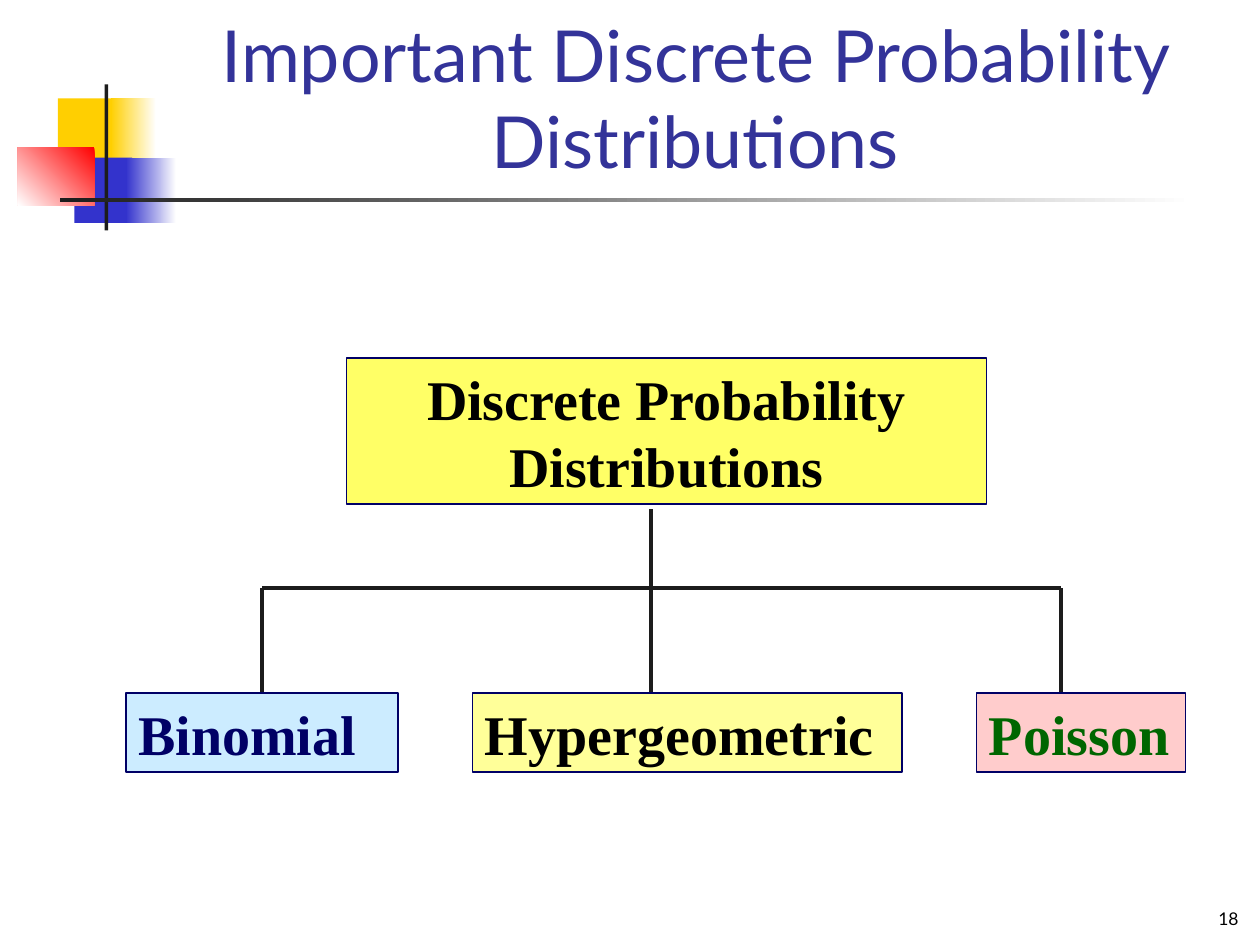
from lxml import etree
from pptx import Presentation
from pptx.dml.color import RGBColor
from pptx.enum.shapes import MSO_CONNECTOR, MSO_SHAPE
from pptx.enum.text import MSO_ANCHOR, MSO_AUTO_SIZE, PP_ALIGN
from pptx.oxml.ns import qn
from pptx.util import Inches, Pt

COLORS = {
    "white": "FFFFFF", "black": "000000", "ink": "1C1C1C", "title": "333399",
    "gold": "FFCF01", "blue": "3333CC", "red": "FF0000", "navy": "000066",
    "green": "006600", "yellow": "FFFF66", "pale_yellow": "FFFF99",
    "pale_blue": "CCECFF", "pink": "FFCCCC",
}
RGB = {name: RGBColor.from_string(value) for name, value in COLORS.items()}


def add_box(x, y, w, h, colors, angle=180):
    sp = s.shapes.add_shape(MSO_SHAPE.RECTANGLE, Inches(x), Inches(y), Inches(w), Inches(h))
    sp.shadow.inherit = False
    sp.line.fill.background()
    if len(colors) == 1:
        sp.fill.solid()
        sp.fill.fore_color.rgb = RGB[colors[0]]
    else:
        sp.fill.gradient()
        sp.fill.gradient_angle = angle
        for stop, name in zip(sp.fill.gradient_stops, colors):
            stop.color.rgb = RGB[name]
    return sp


def set_text(tf, text, size, font, color, bold=False, align=PP_ALIGN.LEFT,
             anchor=MSO_ANCHOR.TOP, inset=0.1):
    tf.word_wrap = True
    tf.auto_size = MSO_AUTO_SIZE.NONE
    tf.vertical_anchor = anchor
    tf.margin_left = tf.margin_right = Inches(inset)
    tf.margin_top = tf.margin_bottom = Inches(0.05)
    p = tf.paragraphs[0]
    p.alignment = align
    p.space_before = Pt(0)
    r = p.add_run()
    r.text = text
    r.font.size = Pt(size)
    r.font.name = font
    r.font.bold = bold
    r.font.color.rgb = RGB[color]


prs = Presentation()
prs.slide_width, prs.slide_height = Inches(10), Inches(7.5)
s = prs.slides.add_slide(prs.slide_layouts[5])

add_box(0.46, 0.78, 0.48, 0.52, ["gold"])
add_box(0.88, 0.78, 0.36, 0.52, ["white", "gold"])
add_box(0.59, 1.25, 0.46, 0.52, ["blue"])
add_box(1, 1.25, 0.4, 0.52, ["white", "blue"])
add_box(0.14, 1.17, 0.61, 0.46, ["red", "white"], angle=225)
add_box(0.83, 0.67, 0.03, 1.16, ["ink"])
add_box(0.48, 1.57, 9, 0.03, ["white", "ink"])

title = s.shapes.title
title.left, title.top = Inches(1.26), Inches(0.25)
title.width, title.height = Inches(8.52), Inches(1.25)
set_text(title.text_frame, "Important Discrete Probability Distributions", 41, "Lato", "title",
         align=PP_ALIGN.CENTER, anchor=MSO_ANCHOR.BOTTOM, inset=0.09)

left, middle, right, bar = 2.08, 5.17, 8.42, 4.67
for x1, y1, x2, y2 in [
    (left, bar, right, bar),
    (left, bar, left, 5.6),
    (middle, 4.04, middle, 5.56),
    (right, bar, right, 5.52),
]:
    line = s.shapes.add_connector(MSO_CONNECTOR.STRAIGHT, Inches(x1), Inches(y1),
                                  Inches(x2), Inches(y2))
    line.line.color.rgb = RGB["ink"]
    line.line.width = Pt(2.25)
    etree.SubElement(line._element.spPr, qn("a:effectLst"))

for text, x, y, w, h, fill, color, align in [
    ("Discrete Probability Distributions", 2.75, 2.84, 5.08, 1.16, "yellow", "black", PP_ALIGN.CENTER),
    ("Binomial", 1, 5.5, 2.16, 0.63, "pale_blue", "navy", PP_ALIGN.LEFT),
    ("Hypergeometric", 3.75, 5.5, 3.41, 0.63, "pale_yellow", "black", PP_ALIGN.LEFT),
    ("Poisson", 7.75, 5.5, 1.66, 0.63, "pink", "green", PP_ALIGN.LEFT),
]:
    sp = add_box(x, y, w, h, [fill])
    sp.line.color.rgb = RGB["navy"]
    sp.line.width = Pt(1)
    set_text(sp.text_frame, text, 32, "Times New Roman", color, bold=True, align=align)

number = s.shapes.add_textbox(Inches(7.84), Inches(6.91), Inches(2.08), Inches(0.51))
set_text(number.text_frame, "18", 10, "Lato", "black", align=PP_ALIGN.RIGHT,
         anchor=MSO_ANCHOR.BOTTOM, inset=0.09)

prs.save("out.pptx")
